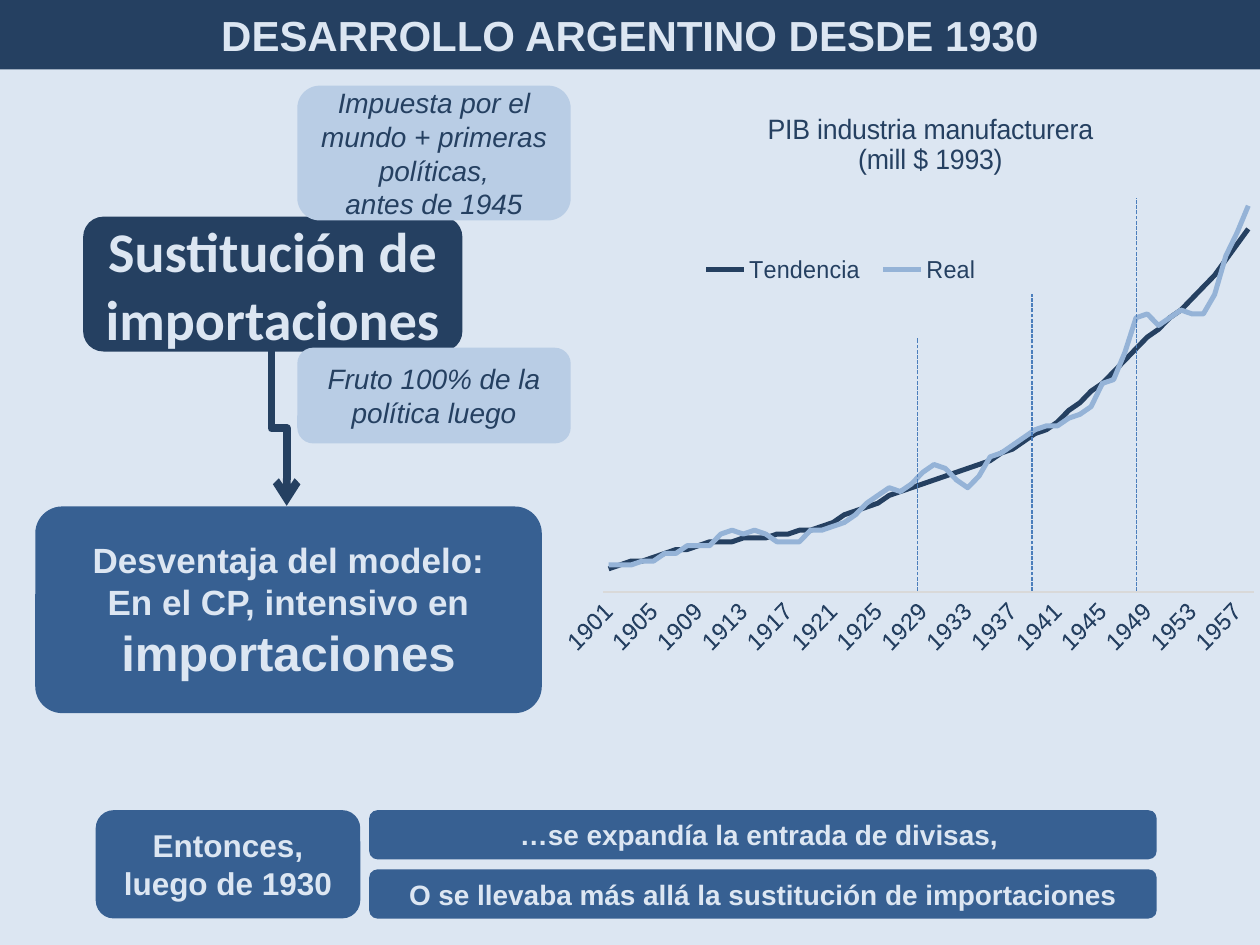
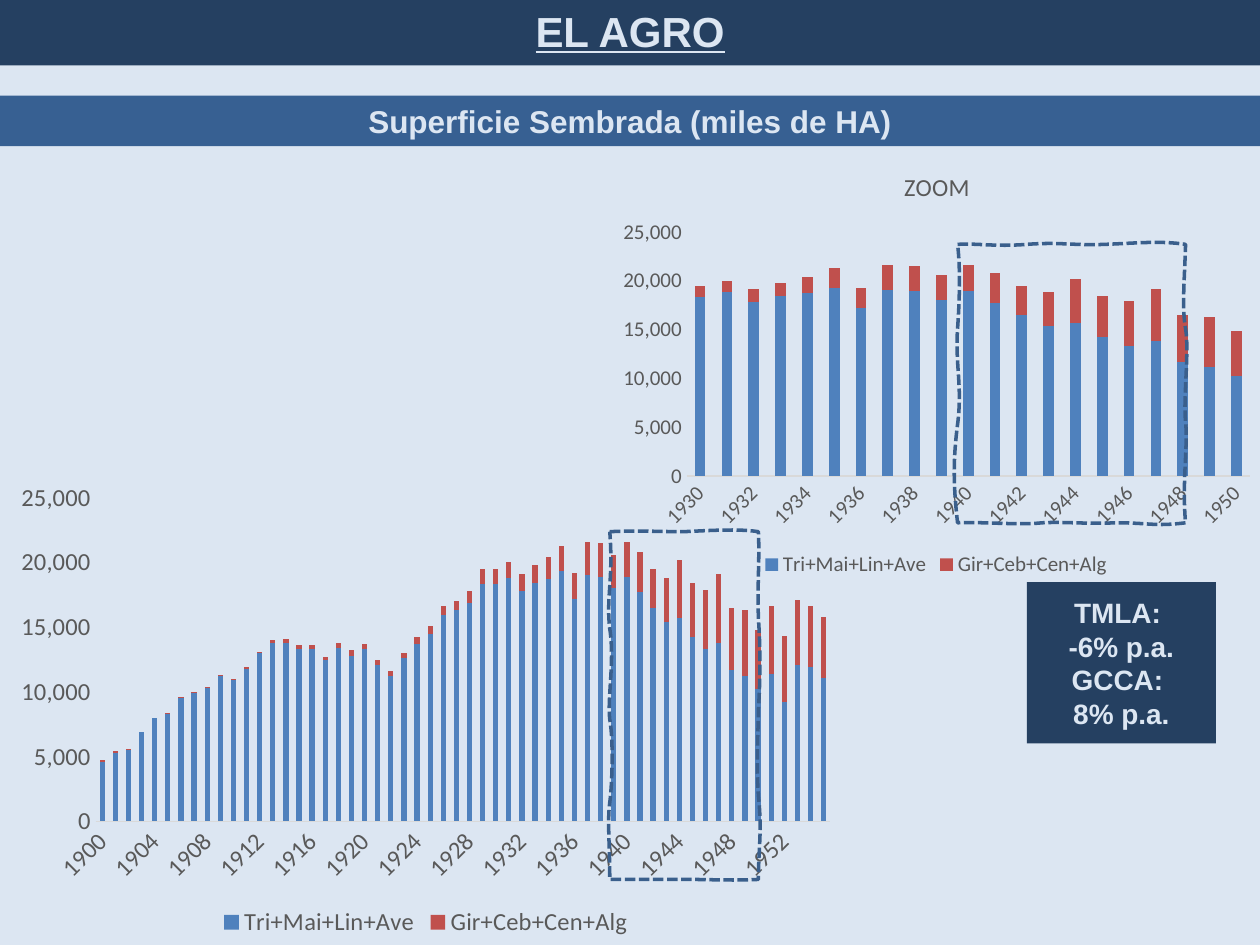
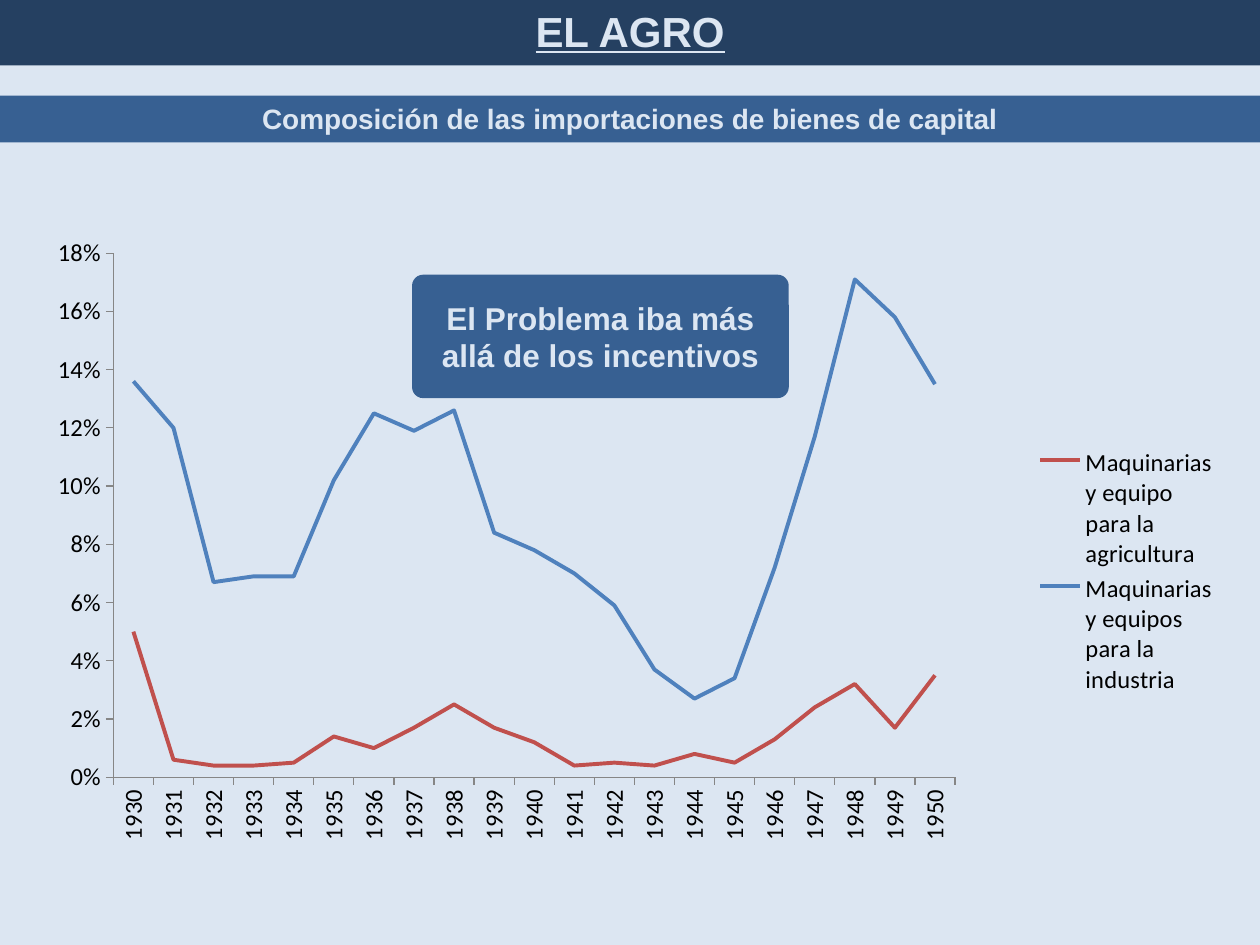
from dataclasses import dataclass

from lxml.etree import SubElement
from pptx import Presentation
from pptx.chart.data import CategoryChartData
from pptx.dml.color import RGBColor
from pptx.enum.chart import XL_CHART_TYPE as Kind, XL_LEGEND_POSITION as LegendAt
from pptx.enum.chart import XL_TICK_MARK as Tick
from pptx.enum.dml import MSO_LINE as Dash
from pptx.enum.shapes import MSO_CONNECTOR as Link, MSO_SHAPE as Preset
from pptx.enum.text import MSO_ANCHOR as Anchor, MSO_AUTO_SIZE as Fit, PP_ALIGN as Align
from pptx.oxml import parse_xml
from pptx.oxml.ns import nsdecls, qn
from pptx.util import Pt

PX = 9144  # EMU in one px, 100 px to the inch
TITLE_ONLY = 5


@dataclass(frozen=True)
class Theme:
    paper: str = "DCE6F2"
    navy: str = "254061"
    blue: str = "376092"
    pale: str = "B9CDE5"
    sky: str = "95B3D7"
    marker: str = "4B7EBC"
    frame: str = "3A5F8C"
    series_blue: str = "4F81BD"
    series_red: str = "C0504D"
    grey: str = "595959"
    rule: str = "D9D9D9"
    axis: str = "868686"
    black: str = "000000"
    sans: str = "Arial"
    chart_sans: str = "Calibri"
    title: int = 24
    huge: int = 32
    large: int = 28
    medium: int = 20
    normal: int = 18
    small: int = 16
    label: int = 14
    tiny: int = 12


T = Theme()


def emu(*lengths):
    return [round(length * PX) for length in lengths]


def rgb(code):
    return RGBColor.from_string(code)


# Text and shapes
def set_font(font, size, color, name=T.sans, **flags):
    font.size, font.name = Pt(size), name
    font.color.rgb = rgb(color)
    for flag, value in flags.items():
        setattr(font, flag, value)


def write(frame, paragraphs, size, color, name=T.sans, **flags):
    """Each paragraph is a string or a list of (text, size) runs."""
    frame.word_wrap = True
    for i, content in enumerate(paragraphs):
        paragraph = frame.paragraphs[0] if i == 0 else frame.add_paragraph()
        paragraph.alignment = Align.CENTER
        set_font(paragraph.font, size, color, name, **flags)
        if isinstance(content, str):
            paragraph.add_run().text = content
            continue
        for text, run_size in content:
            run = paragraph.add_run()
            run.text, run.font.size = text, Pt(run_size)


def add_panel(slide, box, paragraphs, size, fill=T.blue, color=T.paper,
              preset=Preset.ROUNDED_RECTANGLE, corner=None, anchor=Anchor.MIDDLE,
              name=T.sans, **flags):
    panel = slide.shapes.add_shape(preset, *emu(*box))
    panel.shadow.inherit = False
    panel.fill.solid()
    panel.fill.fore_color.rgb = rgb(fill)
    panel.line.fill.background()
    if corner is not None:
        panel.adjustments[0] = corner
    panel.text_frame.vertical_anchor = anchor
    write(panel.text_frame, paragraphs, size, color, name, **(flags or {"bold": True}))
    return panel


def add_title(slide, text, top, **flags):
    title = slide.shapes.title
    title.left, title.top, title.width, title.height = emu(0, top, 1000, 55)
    title.fill.solid()
    title.fill.fore_color.rgb = rgb(T.navy)
    title.text_frame.auto_size = Fit.NONE
    title.text_frame.vertical_anchor = Anchor.MIDDLE
    write(title.text_frame, [text], T.title, T.paper, bold=True, **flags)


def agro_slide(prs, heading, size, height):
    slide = prs.slides.add_slide(prs.slide_layouts[TITLE_ONLY])
    add_title(slide, "EL AGRO", -3, underline=True)
    band = add_panel(slide, (0, 76, 1000, height), [heading], size,
                     preset=Preset.RECTANGLE, anchor=Anchor.TOP)
    band.text_frame.auto_size = Fit.SHAPE_TO_FIT_TEXT
    return slide


def add_link(slide, kind, start, end, color, width):
    link = slide.shapes.add_connector(kind, *emu(*start, *end))
    link.line.color.rgb, link.line.width = rgb(color), Pt(width)
    SubElement(link._element.spPr, qn("a:effectLst"))
    return link


def add_wavy_frame(slide, left, top, curves):
    """Draws a closed dashed outline of cubic curves relative to (left, top)."""
    builder = slide.shapes.build_freeform(*emu(left, top))
    builder.add_line_segments(
        [emu(left + x, top + y) for curve in curves for x, y in curve], close=True)
    outline = builder.convert_to_shape()
    # Every three straight segments become the handles and end of one curve
    segments = list(outline._element.iter(qn("a:lnTo")))
    for first in range(0, 3 * len(curves), 3):
        trio = segments[first:first + 3]
        trio[0].tag = qn("a:cubicBezTo")
        for segment in trio[1:]:
            trio[0].append(segment[0])
            segment.getparent().remove(segment)
    outline.shadow.inherit = False
    outline.fill.background()
    outline.line.color.rgb, outline.line.width = rgb(T.frame), Pt(2)
    outline.line.dash_style = Dash.SQUARE_DOT


# Charts
def place_part(part, index, box, chart_box, inner=False):
    """Fixes a chart part at a box (or a left, top point) within the chart."""
    for old in part.findall(qn("c:layout")):
        part.remove(old)
    layout = parse_xml(f"<c:layout {nsdecls('c')}><c:manualLayout/></c:layout>")
    entries = [("layoutTarget", "inner")] if inner else []
    entries += [("xMode", "edge"), ("yMode", "edge")]
    entries += [(key, length / chart_box[2 + i % 2])
                for i, (key, length) in enumerate(zip("xywh", box))]
    for tag, value in entries:
        SubElement(layout[0], qn(f"c:{tag}")).set("val", str(value))
    part.insert(index, layout)


def add_graph(slide, kind, box, plot_box, cats, series, size, color, name,
              top_value, step, tick=Tick.NONE, axis_color=T.rule, turn=-45, skip=1,
              number_format="General", legend_at=LegendAt.BOTTOM):
    data = CategoryChartData(number_format=number_format)
    data.categories = cats
    for label, values, _ in series:
        data.add_series(label, values)
    chart = slide.shapes.add_chart(kind, *emu(*box), data).chart

    # Clear ground and fixed plot area
    clear = f"<c:spPr {nsdecls('c', 'a')}><a:noFill/><a:ln><a:noFill/></a:ln></c:spPr>"
    plot_area = chart.element.find(".//" + qn("c:plotArea"))
    chart.element.find(qn("c:chart")).addnext(parse_xml(clear))
    plot_area.append(parse_xml(clear))
    place_part(plot_area, 0, plot_box, box, inner=True)
    set_font(chart.font, size, color, name)
    chart.has_title = False

    # Axes
    years, amounts = chart.category_axis, chart.value_axis
    for axis in (years, amounts):
        axis.has_major_gridlines = False
        axis.major_tick_mark, axis.minor_tick_mark = tick, Tick.NONE
        set_font(axis.tick_labels.font, size, color, name)
        axis.format.line.color.rgb = rgb(axis_color)
        axis.format.line.width = Pt(0.75)
    years_xml = years._element
    years_xml.find(qn("c:txPr")).find(qn("a:bodyPr")).set("rot", str(turn * 60000))
    years_xml.find(qn("c:noMultiLvlLbl")).addprevious(
        parse_xml(f'<c:tickLblSkip {nsdecls("c")} val="{skip}"/>'))
    amounts.minimum_scale, amounts.maximum_scale = 0, top_value
    amounts.major_unit = step
    amounts.tick_labels.number_format = number_format
    amounts.tick_labels.number_format_is_linked = False

    # Legend
    chart.has_legend = True
    chart.legend.position = legend_at
    chart.legend.include_in_layout = False
    set_font(chart.legend.font, size, color, name)

    # Series
    plot = chart.plots[0]
    plot.vary_by_categories = False
    for drawn, (_, _, paint) in zip(plot.series, series):
        if kind == Kind.LINE:
            drawn.smooth = False
            drawn.format.line.color.rgb = rgb(paint)
        else:
            drawn.format.fill.solid()
            drawn.format.fill.fore_color.rgb = rgb(paint)
    return chart


def add_graph_title(chart, lines, size, color, name, point, box):
    chart.has_title = True
    write(chart.chart_title.text_frame, lines, size, color, name, bold=False)
    place_part(chart.chart_title.element, 1, point, box)


def set_line_width(chart, points):
    for drawn in chart.plots[0].series:
        drawn.format.line.width = Pt(points)


def add_area_graph(slide, box, plot_box, first, last, size, skip):
    """Stacked sown area from the first to the last year."""
    span = slice(first - 1900, last - 1899)
    chart = add_graph(
        slide, Kind.COLUMN_STACKED, box, plot_box,
        [str(year) for year in range(first, last + 1)],
        [("Tri+Mai+Lin+Ave", GRAINS[span], T.series_blue),
         ("Gir+Ceb+Cen+Alg", NEW_CROPS[span], T.series_red)],
        size, T.grey, T.chart_sans, 25000, 5000, skip=skip, number_format="#,##0")
    chart.value_axis.format.line.fill.background()
    chart.plots[0].gap_width, chart.plots[0].overlap = 150, 100
    return chart


# Data
TREND = [6, 7, 8, 8, 9, 10, 11, 11, 12, 13, 13, 13, 14, 14, 14, 15, 15, 16, 16, 17, 18,
         20, 21, 22, 23, 25, 26, 27, 28, 29, 30, 31, 32, 33, 34, 36, 37, 39, 41, 42, 44,
         47, 49, 52, 54, 57, 60, 63, 66, 68, 71, 73, 76, 79, 82, 86, 90, 94]
REAL = [7, 7, 7, 8, 8, 10, 10, 12, 12, 12, 15, 16, 15, 16, 15, 13, 13, 13, 16, 16, 17,
        18, 20, 23, 25, 27, 26, 28, 31, 33, 32, 29, 27, 30, 35, 36, 38, 40, 42, 43, 43,
        45, 46, 48, 54, 55, 62, 71, 72, 69, 71, 73, 72, 72, 77, 87, 93, 100]
GRAINS = [4600, 5300, 5500, 6900, 8000, 8300, 9500, 9900, 10300, 11200, 10900, 11800,
          13000, 13800, 13800, 13300, 13300, 12500, 13400, 12800, 13300, 12100, 11200,
          12600, 13700, 14500, 15900, 16300, 16900, 18300, 18300, 18800, 17800, 18400,
          18700, 19300, 17200, 19000, 18900, 18000, 18900, 17700, 16500, 15400, 15700,
          14200, 13300, 13800, 11700, 11200, 10200, 11400, 9200, 12100, 11900, 11100]
NEW_CROPS = [100, 100, 100, 0, 0, 100, 100, 100, 100, 100, 100, 100, 100, 200, 300, 300,
             300, 200, 400, 400, 400, 400, 400, 400, 500, 600, 700, 700, 900, 1200, 1200,
             1200, 1300, 1400, 1700, 2000, 2000, 2600, 2600, 2600, 2700, 3100, 3000,
             3400, 4500, 4200, 4600, 5300, 4800, 5100, 4600, 5200, 5100, 5000, 4700, 4700]
FARM_SHARE = [0.05, 0.006, 0.004, 0.004, 0.005, 0.014, 0.01, 0.017, 0.025, 0.017, 0.012,
              0.004, 0.005, 0.004, 0.008, 0.005, 0.013, 0.024, 0.032, 0.017, 0.035]
INDUSTRY_SHARE = [0.136, 0.12, 0.067, 0.069, 0.069, 0.102, 0.125, 0.119, 0.126, 0.084,
                  0.078, 0.07, 0.059, 0.037, 0.027, 0.034, 0.072, 0.117, 0.171, 0.158,
                  0.135]
FORTIES_CURVES = [
    ((21, -1), (44, 0), (56, 0)), ((67, 0), (99, -3), (118, 0)),
    ((119, 24), (117, 41), (118, 69)), ((120, 98), (119, 125), (118, 141)),
    ((118, 157), (116, 180), (118, 210)), ((121, 239), (118, 250), (118, 276)),
    ((97, 277), (79, 276), (63, 276)), ((47, 276), (17, 276), (0, 276)),
    ((0, 246), (-2, 231), (0, 215)), ((2, 199), (3, 166), (0, 149)),
    ((-2, 132), (4, 103), (0, 77)), ((-3, 52), (3, 38), (0, 0))]
ZOOM_CURVES = [
    ((16, -1), (29, 2), (55, 0)), ((81, -2), (91, 1), (117, 0)),
    ((143, -1), (161, -3), (181, 0)), ((180, 31), (178, 50), (181, 67)),
    ((184, 84), (179, 122), (181, 141)), ((183, 160), (178, 189), (181, 221)),
    ((156, 224), (153, 221), (126, 221)), ((99, 222), (85, 220), (67, 221)),
    ((50, 223), (16, 220), (0, 221)), ((-3, 194), (-4, 174), (0, 143)),
    ((4, 112), (-2, 96), (0, 67)), ((2, 39), (2, 16), (0, 0))]


# Slide 1
def add_model_flow(slide, left, top):
    """Import substitution, its two phases and its drawback."""
    substitution = add_panel(slide, (left + 38, top + 104, 301, 107),
                             ["Sustitución de importaciones"], T.huge, T.navy,
                             corner=0.15, name=T.chart_sans)
    phases = [(0, 107, ["Impuesta por el mundo + primeras políticas,", "antes de 1945"]),
              (208, 76, ["Fruto 100% de la política luego"])]
    for offset, height, lines in phases:
        add_panel(slide, (left + 208, top + offset, 217, height), lines, T.small,
                  T.pale, T.navy, italic=True)
    drawback = add_panel(
        slide, (left, top + 334, 402, 164),
        ["Desventaja del modelo:",
         [("En el CP, intensivo en ", T.medium), ("importaciones", T.large)]],
        T.medium, corner=0.13)

    # Elbow arrow that leaves downwards: a turned and mirrored connector
    arrow = add_link(slide, Link.ELBOW, (left + 188, top + 211), (left + 200, top + 334),
                     T.navy, 4.5)
    arrow.begin_connect(substitution, 2)
    arrow.end_connect(drawback, 0)
    arrow.left, arrow.top, arrow.width, arrow.height = emu(left + 132, top + 266, 123, 12)
    turned = arrow._element.spPr.find(qn("a:xfrm"))
    turned.set("rot", str(270 * 60000))
    turned.set("flipH", "1")
    SubElement(arrow.line._get_or_add_ln(), qn("a:tailEnd")).set("type", "arrow")


def add_options(slide, left, top):
    add_panel(slide, (left, top, 210, 86), ["Entonces, luego de 1930"], T.normal)
    for row, option in enumerate(["…se expandía la entrada de divisas, ",
                                  "O se llevaba más allá la sustitución de importaciones"]):
        add_panel(slide, (left + 217, top + 47 * row, 625, 39), [option], T.small)


def add_output_graph(slide, box):
    left, top = box[:2]
    chart = add_graph(slide, Kind.LINE, box, (7, 76, 542, 322),
                      [str(year) for year in range(1901, 1959)],
                      [("Tendencia", TREND, T.navy), ("Real", REAL, T.sky)],
                      T.label, T.navy, T.sans, 105, 20, skip=4, legend_at=LegendAt.RIGHT)
    chart.value_axis.visible = False
    set_line_width(chart, 3)
    add_graph_title(chart, ["PIB industria manufacturera", "(mill $ 1993)"],
                    T.small, T.navy, T.sans, (141, 14), box)
    place_part(chart.legend._element, 1, (80, 126, 250, 32), box)
    # Period markers
    for x, high in [(282, 196), (373, 161), (456, 85)]:
        marker = add_link(slide, Link.STRAIGHT, (left + x, top + 397),
                          (left + x, top + high), T.marker, 0.75)
        marker.line.dash_style = Dash.SQUARE_DOT


def development_slide(prs):
    slide = prs.slides.add_slide(prs.slide_layouts[TITLE_ONLY])
    add_title(slide, "DESARROLLO ARGENTINO DESDE 1930", 0)
    add_model_flow(slide, 28, 68)
    add_options(slide, 76, 643)
    add_output_graph(slide, (446, 72, 554, 461))


# Slide 2
def sown_area_slide(prs):
    slide = agro_slide(prs, "Superficie Sembrada (miles de HA)", T.normal, 40)
    add_area_graph(slide, (3, 375, 670, 373), (73, 20, 583, 257), 1900, 1955, T.label, 4)
    zoom_box = (484, 119, 518, 343)
    zoom = add_area_graph(slide, zoom_box, (61, 65, 447, 194), 1930, 1950, T.tiny, 2)
    add_graph_title(zoom, ["ZOOM"], T.label, T.grey, T.chart_sans, (230, 12), zoom_box)
    add_wavy_frame(slide, 484, 422, FORTIES_CURVES)
    add_wavy_frame(slide, 760, 194, ZOOM_CURVES)
    add_panel(slide, (815, 462, 150, 128), ["TMLA: ", "-6% p.a.", "GCCA: ", "8% p.a."],
              T.small, T.navy, preset=Preset.RECTANGLE)


# Slide 3
def capital_goods_slide(prs):
    slide = agro_slide(prs, "Composición de las importaciones de bienes de capital",
                       T.small, 37)
    chart = add_graph(
        slide, Kind.LINE, (9, 178, 972, 551), (81, 23, 668, 416),
        [str(year) for year in range(1930, 1951)],
        [("Maquinarias \ny equipo \npara la\nagricultura", FARM_SHARE, T.series_red),
         ("Maquinarias\ny equipos\npara la\nindustria", INDUSTRY_SHARE, T.series_blue)],
        T.label, T.black, T.chart_sans, 0.18, 0.02, tick=Tick.OUTSIDE,
        axis_color=T.axis, turn=-90, number_format="0%", legend_at=LegendAt.RIGHT)
    set_line_width(chart, 2.25)
    add_panel(slide, (327, 218, 299, 98), ["El Problema iba más allá de los incentivos"],
              T.normal, corner=0.09)


def main():
    prs = Presentation()
    prs.slide_width, prs.slide_height = emu(1000, 750)
    ground = prs.slide_master.background.fill
    ground.solid()
    ground.fore_color.rgb = rgb(T.paper)
    development_slide(prs)
    sown_area_slide(prs)
    capital_goods_slide(prs)
    prs.save("out.pptx")


if __name__ == "__main__":
    main()
